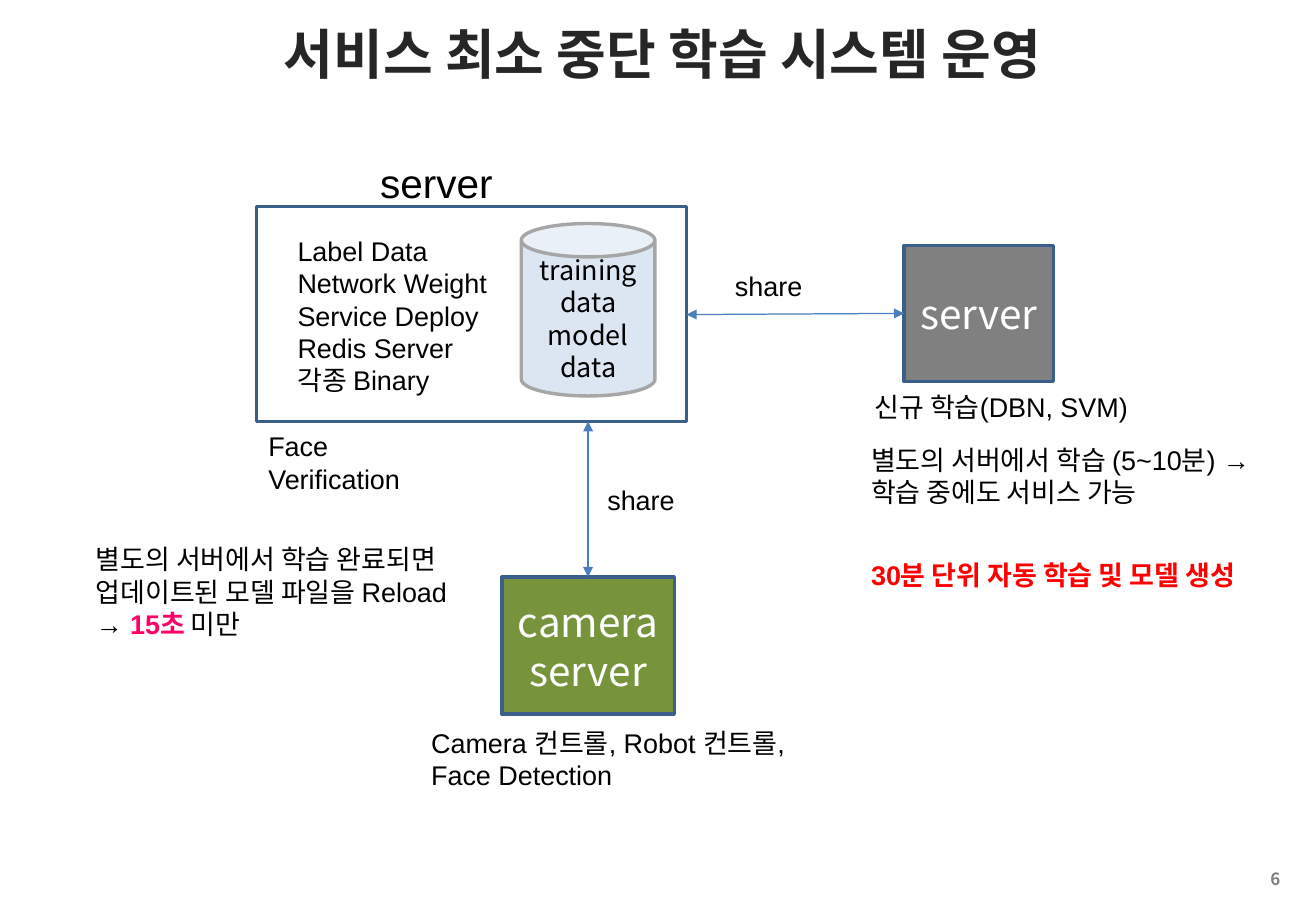
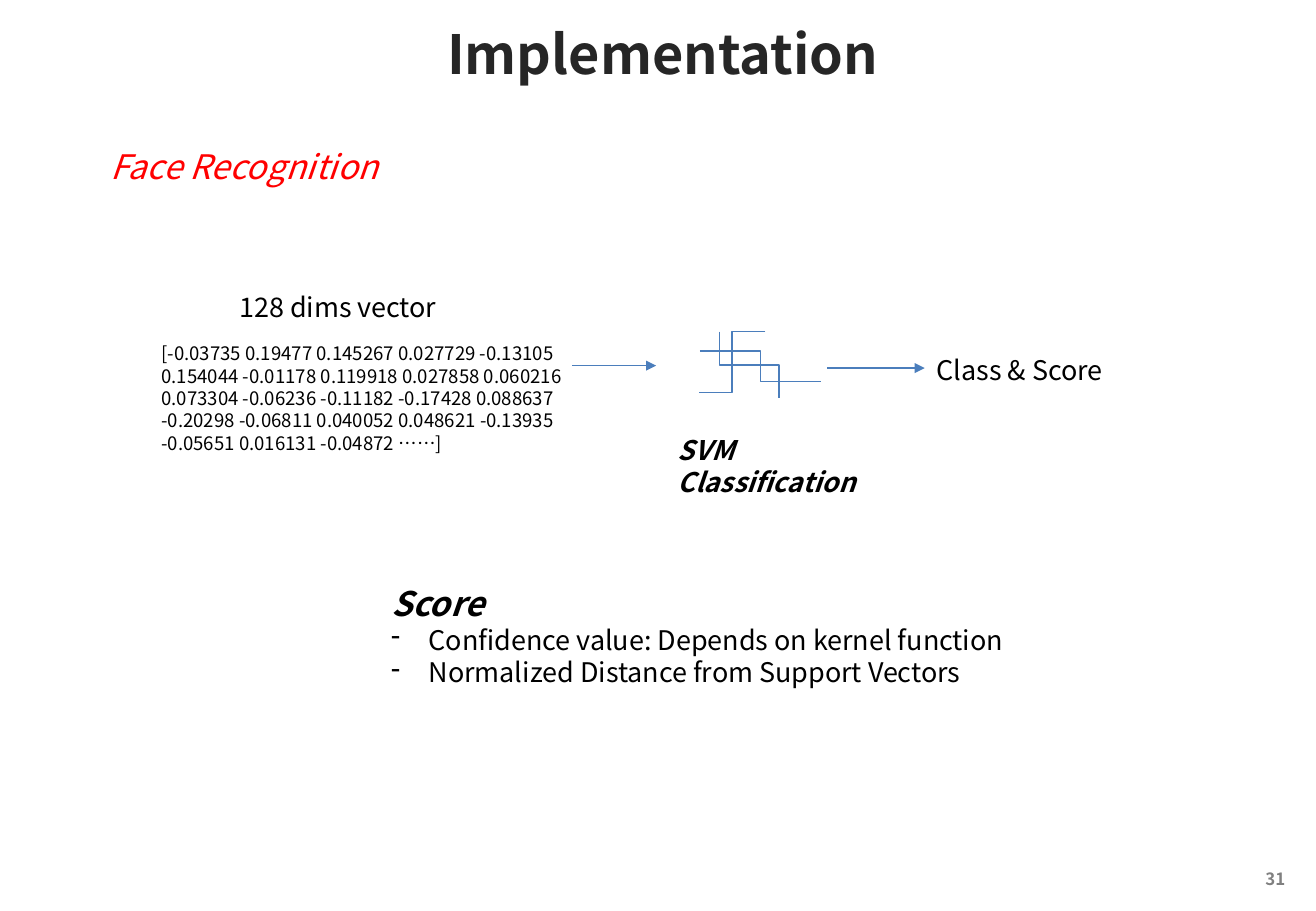
import pptx
import pptx.util
import pptx.dml.color
import pptx.enum.shapes
import pptx.enum.text
from lxml import etree

PX = 9144
NOTO, ARIAL = "Noto Sans CJK KR", "Arial"
BLACK, WHITE, GRAY, RED, PINK = "000000", "FFFFFF", "808080", "FF0000", "FF0066"
TITLE, BORDER, WIRE = "262626", "3A5F8C", "4B7EBC"
GREEN, PALE, SILVER = "77933C", "DCE6F2", "A6A6A6"
LEFT, CENTER = pptx.enum.text.PP_ALIGN.LEFT, pptx.enum.text.PP_ALIGN.CENTER
MIDDLE = pptx.enum.text.MSO_ANCHOR.MIDDLE
FIT = pptx.enum.text.MSO_AUTO_SIZE.SHAPE_TO_FIT_TEXT
SHAPE = pptx.enum.shapes.MSO_SHAPE
STRAIGHT = pptx.enum.shapes.MSO_CONNECTOR.STRAIGHT
ELBOW = pptx.enum.shapes.MSO_CONNECTOR.ELBOW
qn = pptx.oxml.ns.qn
rgb = pptx.dml.color.RGBColor.from_string


def write(sp, lines, align=LEFT, wrap=True, **base):
    tf = sp.text_frame
    tf.word_wrap = wrap
    for i, line in enumerate(lines):
        p = tf.add_paragraph() if i else tf.paragraphs[0]
        p.alignment = align
        for text, extra in line if isinstance(line, list) else [(line, {})]:
            r = p.add_run()
            r.text = text
            fmt = {"name": NOTO, "size": 16, "color": BLACK, "bold": False, "italic": False, **base, **extra}
            r.font.color.rgb = rgb(fmt.pop("color"))
            fmt["size"] = pptx.util.Pt(fmt["size"])
            for key, value in fmt.items():
                setattr(r.font, key, value)
            etree.SubElement(r.font._element, qn("a:ea")).set("typeface", NOTO)
    return tf


def connect(s, kind, points, ends=(), turn=0):
    c = s.shapes.add_connector(kind, *[v * PX for v in points])
    c.line.color.rgb = rgb(WIRE)
    c.line.width = pptx.util.Pt(0.75)
    for end in ends:
        etree.SubElement(c.line._get_or_add_ln(), qn("a:" + end)).set("type", "triangle")
    etree.SubElement(c._element.spPr, qn("a:effectLst"))
    if turn:
        c._element.spPr.find(qn("a:xfrm")).set("rot", str(turn * 60000))


prs = pptx.Presentation()
prs.slide_width, prs.slide_height = 1083 * PX, 750 * PX

slides = []
for title, number in [("서비스 최소 중단 학습 시스템 운영", "6"), ("Implementation", "31")]:
    s = prs.slides.add_slide(prs.slide_layouts[5])
    sp = s.shapes.title
    sp.left, sp.top, sp.width, sp.height = [v * PX for v in (-2, 12, 1085, 63)]
    tf = write(sp, [title], CENTER, False, size=32, color=TITLE, bold=True)
    tf.vertical_anchor = MIDDLE
    tf.auto_size = pptx.enum.text.MSO_AUTO_SIZE.NONE
    tf.margin_left = tf.margin_right = 12 * PX
    tf.margin_top = tf.margin_bottom = 6 * PX
    tf.paragraphs[0]._p.get_or_add_pPr().set("marL", str(10 * PX))

    sp = s.shapes.add_textbox(*[v * PX for v in (1022, 715, 55, 17)])
    tf = write(sp, [number], CENTER, size=10, color=GRAY, bold=True)
    tf.margin_left = tf.margin_right = 12 * PX
    tf.margin_top = tf.margin_bottom = 0
    slides.append(s)

system, recognition = slides

for kind, box, fill, border, lines, fmt in [
    (SHAPE.RECTANGLE, (744, 202, 123, 112), GRAY, BORDER, ["server"], {"size": 24, "color": WHITE}),
    (SHAPE.RECTANGLE, (413, 475, 142, 113), GREEN, BORDER, ["camera", "server"], {"size": 24, "color": WHITE}),
    (SHAPE.CAN, (429, 184, 110, 142), PALE, SILVER, ["training data", "model data"], {}),
    (SHAPE.RECTANGLE, (211, 170, 354, 177), None, BORDER, [], {}),
]:
    sp = system.shapes.add_shape(kind, *[v * PX for v in box])
    sp.shadow.inherit = False
    if fill:
        sp.fill.solid()
        sp.fill.fore_color.rgb = rgb(fill)
    else:
        sp.fill.background()
    sp.line.color.rgb = rgb(border)
    sp.line.width = pptx.util.Pt(2)
    write(sp, lines, CENTER, **fmt).vertical_anchor = MIDDLE

for points in [(565, 259, 744, 258), (484, 347, 484, 475)]:
    connect(system, STRAIGHT, points, ("headEnd", "tailEnd"))

reload_time = [("→ ", {}), ("15초", {"color": PINK, "bold": True}), (" 미만", {})]
for box, lines, fmt in [
    ((303, 125, 220, 50), ["server"], {"size": 24}),
    ((235, 188, 202, 145),
     ["Label Data", "Network Weight", "Service Deploy", "Redis Server", "각종 Binary"], {}),
    ((211, 349, 142, 64), ["Face Verification"], {}),
    ((595, 217, 123, 37), ["share"], {}),
    ((490, 393, 123, 37), ["share"], {}),
    ((710, 317, 247, 37), ["신규 학습(DBN, SVM)"], {}),
    ((707, 360, 340, 64), ["별도의 서버에서 학습 (5~10분) → 학습 중에도 서비스 가능"], {}),
    ((707, 455, 340, 64), ["30분 단위 자동 학습 및 모델 생성"], {"color": RED, "bold": True}),
    ((69, 442, 330, 118), ["별도의 서버에서 학습 완료되면 업데이트된 모델 파일을 Reload", reload_time], {}),
    ((345, 593, 340, 64), ["Camera 컨트롤, Robot 컨트롤, Face Detection"], {}),
]:
    sp = system.shapes.add_textbox(*[v * PX for v in box])
    write(sp, lines, name=ARIAL, **fmt).auto_size = FIT

for points in [(471, 301, 540, 301), (681, 303, 761, 303)]:
    connect(recognition, STRAIGHT, points, ("tailEnd",))
for points, turn in [((644, 276, 589, 325), 270), ((630, 273, 575, 323), 0), ((576, 289, 676, 314), 0)]:
    connect(recognition, ELBOW, points, turn=turn)

vector = (
    "[-0.03735 0.19477 0.145267 0.027729 -0.13105 0.154044 -0.01178 0.119918 0.027858 0.060216 "
    "0.073304 -0.06236 -0.11182 -0.17428 0.088637 -0.20298 -0.06811 0.040052 0.048621 -0.13935 "
    "-0.05651 0.016131 -0.04872 ……]"
)
score = [
    [("Score", {"size": 20, "bold": True, "italic": True})],
    "Confidence value: Depends on kernel function",
    "Normalized Distance from Support Vectors",
]
for box, lines, fmt in [
    ((81, 115, 315, 44), ["Face Recognition"], {"size": 20, "color": RED, "italic": True}),
    ((548, 352, 214, 64), ["SVM Classification"], {"bold": True, "italic": True}),
    ((761, 286, 173, 37), ["Class & Score"], {}),
    ((187, 234, 189, 37), ["128 dims vector"], {"wrap": False}),
    ((123, 277, 370, 103), [vector], {"size": 11}),
    ((312, 475, 600, 98), score, {}),
]:
    sp = recognition.shapes.add_textbox(*[v * PX for v in box])
    tf = write(sp, lines, **fmt)
    tf.auto_size = FIT
    for p in tf.paragraphs[1:]:
        pPr = p._p.get_or_add_pPr()
        pPr.set("marL", str(31 * PX))
        pPr.set("indent", str(-31 * PX))
        etree.SubElement(pPr, qn("a:buChar")).set("char", "-")

prs.save("out.pptx")
